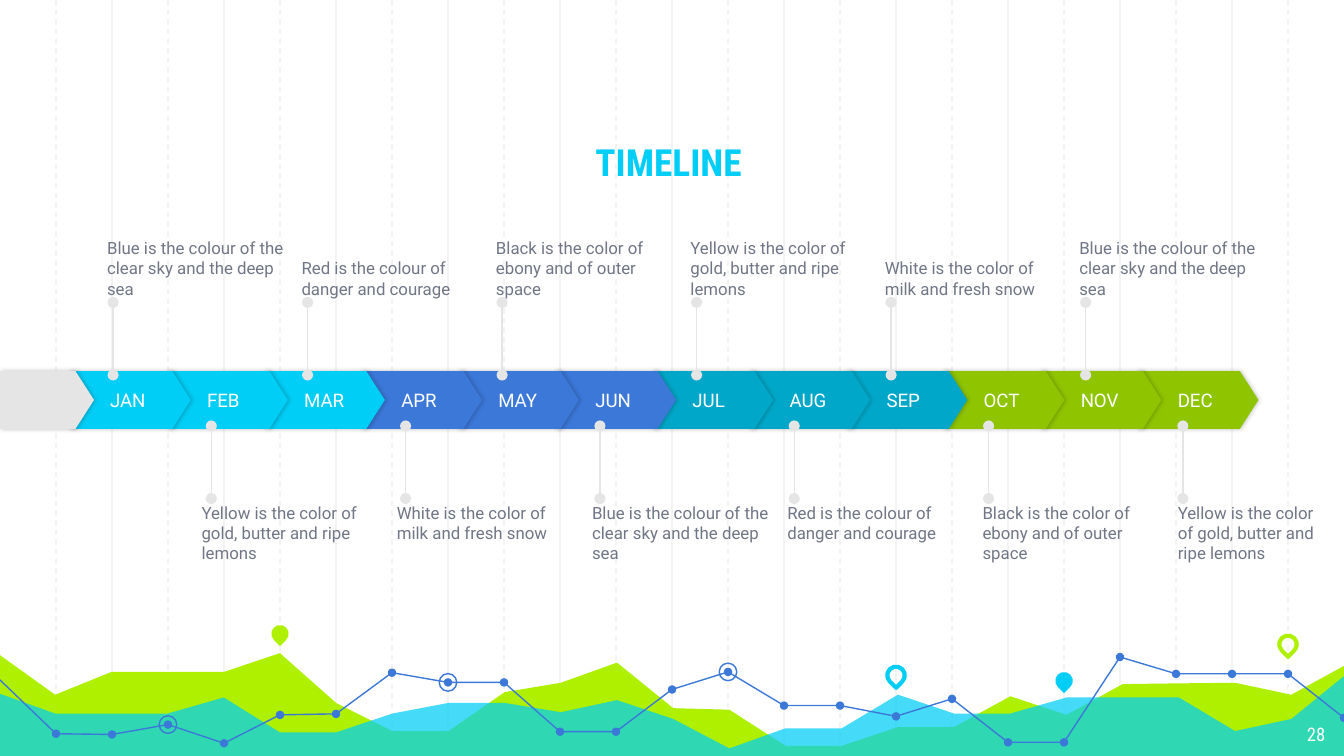
from lxml import etree
from pptx import Presentation
from pptx.dml.color import RGBColor
from pptx.enum import dml, shapes, text
from pptx.oxml.ns import qn
from pptx.util import Pt

WHITE = RGBColor(0xFF, 0xFF, 0xFF)
GRID = RGBColor(0xF3, 0xF3, 0xF3)
GREY = RGBColor(0xE5, 0xE5, 0xE5)
SLATE = RGBColor(0x70, 0x76, 0x85)
LIME = RGBColor(0xAF, 0xF0, 0x00)
CYAN = RGBColor(0x00, 0xCE, 0xF6)
BLUE = RGBColor(0x3C, 0x78, 0xD8)
TEAL = RGBColor(0x00, 0xA7, 0xC8)
GREEN = RGBColor(0x8E, 0xC4, 0x00)

STEP = 30  # spacing of the vertical grid
MONTHS = ["JAN", "FEB", "MAR", "APR", "MAY", "JUN",
          "JUL", "AUG", "SEP", "OCT", "NOV", "DEC"]
QUARTER_COLORS = [CYAN, BLUE, TEAL, GREEN]

SKY = "Blue is the colour of the clear sky and the deep sea"
DANGER = "Red is the colour of danger and courage"
EBONY = "Black is the color of ebony and of outer space"
GOLD = "Yellow is the color of gold, butter and ripe lemons"
MILK = "White is the color of milk and fresh snow"
CAPTIONS_ABOVE = [SKY, DANGER, EBONY, GOLD, MILK, SKY]
CAPTIONS_BELOW = [GOLD, MILK, SKY, DANGER, EBONY, GOLD]

# Heights at each grid step, from left edge to right edge
LIME_AREA = [350.6, 372.2, 360, 360, 360, 349.9, 376.6, 391.7, 391.7, 370.8,
             365.8, 355, 379.4, 380.2, 399.6, 399.6, 389.5, 389.5, 373, 383,
             366.5, 366.1, 365.8, 372.2, 355.7]
CYAN_AREA = [371.5, 382.3, 382.3, 382.3, 373.7, 392.4, 392.4, 382.3, 376.6,
             376.6, 381.6, 375.1, 385.2, 401, 390.2, 390.2, 372.2, 382.3,
             382.3, 373.7, 373.7, 373.7, 391.7, 385.2, 360.7]
TREND = [364.3, 393.1, 393.5, 388.2, 398.2, 383, 382.5, 360.4, 365.6, 365.6,
         392, 392, 369.4, 360, 378, 378, 383.8, 374.4, 397.7, 397.7, 352,
         361, 361, 361, 384.6]
TREND_PARTS = [(0, 11), (11, 20), (20, 24)]
RINGED = [3, 8, 13]
# grid step, centre height, colour, filled
PINS = [(5, 339.5, LIME, True), (16, 361.8, CYAN, False),
        (19, 364.7, CYAN, True), (23, 345.2, LIME, False)]


def paint(sp, fill=None, line=None, width=0.75):
    sp.shadow.inherit = False
    if fill is None:
        sp.fill.background()
    else:
        sp.fill.solid()
        sp.fill.fore_color.rgb = fill
    if line is None:
        sp.line.fill.background()
    else:
        sp.line.color.rgb = line
        sp.line.width = Pt(width)
    return sp


def write(sp, words, size, font, color, align=text.PP_ALIGN.LEFT,
          anchor=text.MSO_ANCHOR.TOP, insets=(0, 0, 0, 0), bold=False):
    tf = sp.text_frame
    tf.word_wrap = True
    tf.auto_size = text.MSO_AUTO_SIZE.NONE
    tf.vertical_anchor = anchor
    (tf.margin_left, tf.margin_top,
     tf.margin_right, tf.margin_bottom) = map(Pt, insets)
    p = tf.paragraphs[0]
    p.alignment = align
    r = p.add_run()
    r.text = words
    r.font.size, r.font.name, r.font.bold = Pt(size), font, bold
    r.font.color.rgb = color


def text_box(s, x, y, w, h, *args, **kwargs):
    write(s.shapes.add_textbox(Pt(x), Pt(y), Pt(w), Pt(h)), *args, **kwargs)


def line(s, x, y1, y2, color, dashed=False, dots=False):
    cn = s.shapes.add_connector(shapes.MSO_CONNECTOR.STRAIGHT,
                                Pt(x), Pt(y1), Pt(x), Pt(y2))
    cn.line.color.rgb = color
    cn.line.width = Pt(0.75)
    if dashed:
        cn.line.dash_style = dml.MSO_LINE.DASH
    if dots:
        for tag in ("a:headEnd", "a:tailEnd"):
            etree.SubElement(cn.line._get_or_add_ln(), qn(tag), type="oval")
    etree.SubElement(cn._element.spPr, qn("a:effectLst"))


def outline(s, points, close):
    points = [(Pt(x), Pt(y)) for x, y in points]
    fb = s.shapes.build_freeform(*points[0], scale=1.0)
    fb.add_line_segments(points[1:], close=close)
    return fb.convert_to_shape()


def area(s, heights, color, alpha=None):
    points = [(30.1 * i - 0.5, y) for i, y in enumerate(heights)]
    sp = paint(outline(s, points + [(721.5, 406.5), (-2, 406.5)], True), color)
    if alpha:
        clr = sp._element.spPr.find(qn("a:solidFill"))[0]
        etree.SubElement(clr, qn("a:alpha"), val=str(alpha * 1000))


def marker(s, kind, x, y, size, **look):
    sp = s.shapes.add_shape(kind, Pt(x - size / 2), Pt(y - size / 2),
                            Pt(size), Pt(size))
    return paint(sp, **look)


def arrow(s, x, w, color, label=None):
    sp = paint(s.shapes.add_shape(shapes.MSO_SHAPE.PENTAGON, Pt(x), Pt(198.8),
                                  Pt(w), Pt(31)), color)
    sp.adjustments[0] = 0.32
    # soft shadow to the right
    effects = sp._element.spPr.find(qn("a:effectLst"))
    shadow = etree.SubElement(effects, qn("a:outerShdw"), blurRad=str(Pt(2.25)),
                              dist=str(Pt(0.75)), dir="0", algn="bl",
                              rotWithShape="0")
    clr = etree.SubElement(shadow, qn("a:srgbClr"), val="000000")
    etree.SubElement(clr, qn("a:alpha"), val="20000")
    if label:
        write(sp, label, 10, "Roboto", WHITE, anchor=text.MSO_ANCHOR.MIDDLE,
              insets=(21.6, 0, 0, 0))


def backdrop(s):
    # Vertical grid: solid on even steps, dashed on odd ones
    for first, last, dashed in ((2, 22, False), (1, 23, True)):
        for i in range(first, last + 1, 2):
            line(s, STEP * i, 0, 406.8, GRID, dashed=dashed)
    # Areas
    area(s, LIME_AREA, LIME)
    area(s, CYAN_AREA, CYAN, alpha=73)
    # Map pins
    for i, y, color, filled in PINS:
        look = dict(fill=color) if filled else dict(line=color, width=2.25)
        marker(s, shapes.MSO_SHAPE.TEAR, STEP * i, y, 9.4, **look).rotation = 135
    # Trend line with dots and rings
    for a, b in TREND_PARTS:
        paint(outline(s, [(STEP * i, TREND[i]) for i in range(a, b + 1)], False),
              line=BLUE)
    for i, y in enumerate(TREND[1:], 1):
        marker(s, shapes.MSO_SHAPE.OVAL, STEP * i, y, 4.5, fill=BLUE)
    for i in RINGED:
        marker(s, shapes.MSO_SHAPE.OVAL, STEP * i, TREND[i], 9.4, line=BLUE)


def heading(s):
    sp = s.shapes.title
    sp.left, sp.top, sp.width, sp.height = Pt(82.8), Pt(49.7), Pt(550.8), Pt(56.2)
    write(sp, "TIMELINE", 20, "Roboto Condensed", CYAN, text.PP_ALIGN.CENTER,
          text.MSO_ANCHOR.BOTTOM, (7.2,) * 4, bold=True)
    sp._element.getparent().append(sp._element)  # in front of the grid
    text_box(s, 673.9, 380.2, 43.2, 25.2, "28", 10, "Roboto Condensed", WHITE,
             text.PP_ALIGN.RIGHT, insets=(7.2,) * 4)


def timeline(s):
    # Arrows overlap, so the last month lies at the back
    for i in reversed(range(12)):
        arrow(s, 37.4 + 52 * i, 64.8, QUARTER_COLORS[i // 3], MONTHS[i])
    arrow(s, 0, 50.4, GREY)
    # Captions: odd months above, even months below
    for j, words in enumerate(CAPTIONS_ABOVE):
        line(s, 60.6 + 104.2 * j, 200.9, 162, GREY, dots=True)
        text_box(s, 57.4 + 104.16 * j, 118.1, 98.6, 41.8, words, 9, "Roboto",
                 SLATE, anchor=text.MSO_ANCHOR.BOTTOM)
    for j, words in enumerate(CAPTIONS_BELOW):
        line(s, 113.2 + 104.1 * j, 267.1, 228.2, GREY, dots=True)
        text_box(s, 108 + 104.6 * j, 269.3, 81.4 if j == 5 else 98.6, 41.8,
                 words, 9, "Roboto", SLATE)


def main():
    prs = Presentation()
    prs.slide_width, prs.slide_height = Pt(720), Pt(405)
    s = prs.slides.add_slide(prs.slide_layouts[5])
    backdrop(s)
    heading(s)
    timeline(s)
    prs.save("out.pptx")


if __name__ == "__main__":
    main()
